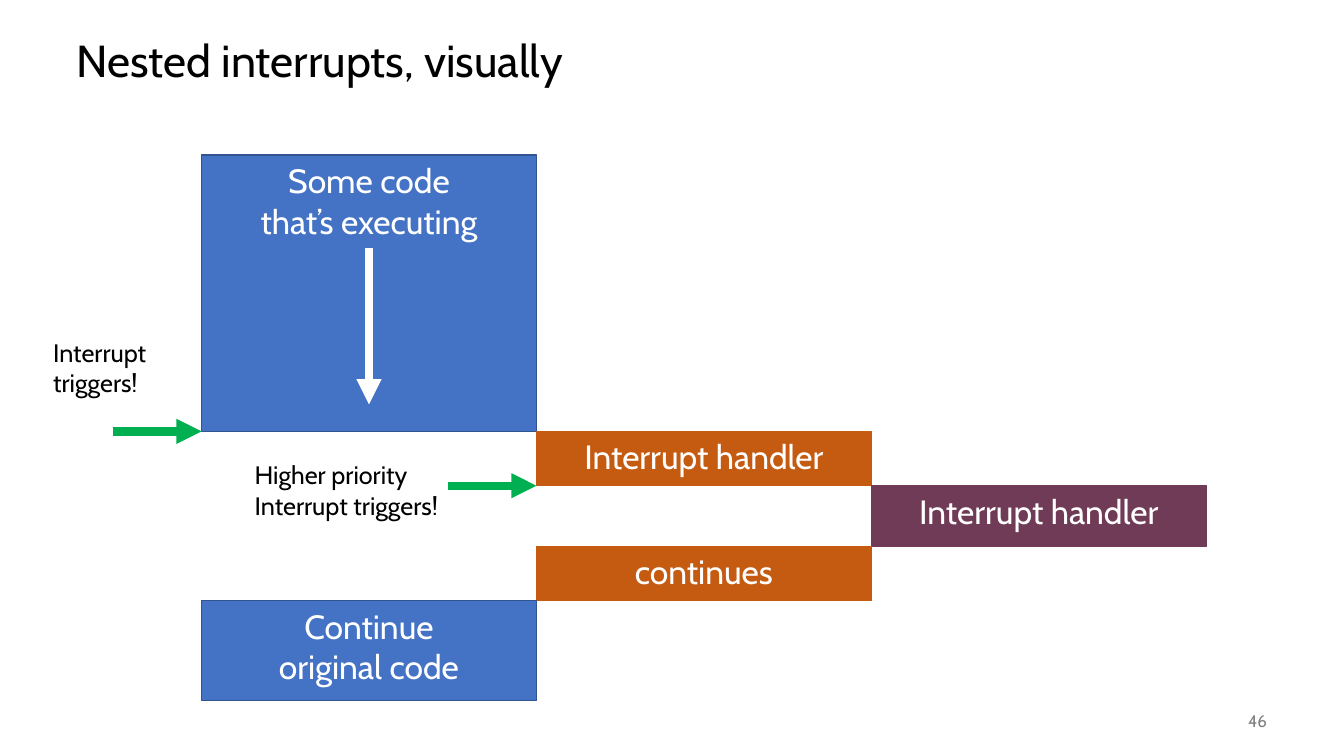
"""Builds a slide that shows nested interrupts as a staircase of code blocks."""
from lxml.etree import SubElement
from pptx import Presentation
from pptx.dml.color import RGBColor
from pptx.enum.shapes import MSO_CONNECTOR, MSO_SHAPE
from pptx.enum.text import MSO_ANCHOR, PP_ALIGN
from pptx.oxml.ns import qn
from pptx.util import Cm, Pt

BLACK = RGBColor(0x00, 0x00, 0x00)
WHITE = RGBColor(0xFF, 0xFF, 0xFF)
GRAY = RGBColor(0x80, 0x80, 0x80)
BLUE = RGBColor(0x44, 0x72, 0xC4)
NAVY = RGBColor(0x32, 0x54, 0x91)
ORANGE = RGBColor(0xC5, 0x5A, 0x11)
PLUM = RGBColor(0x70, 0x3B, 0x56)
GREEN = RGBColor(0x00, 0xB0, 0x50)

LEFT, WIDTH = 5.08, 8.44
TOP = 3.91
HEIGHTS = [6.96, 1.37, 1.53, 1.37, 2.51]
COLUMNS = [LEFT + WIDTH * i for i in range(3)]
ROWS = [TOP + sum(HEIGHTS[:i]) for i in range(len(HEIGHTS))]

BLOCKS = [
    (0, "Some code\nthat’s executing", BLUE, NAVY),
    (1, "Interrupt handler", ORANGE, ORANGE),
    (2, "Interrupt handler", PLUM, PLUM),
    (1, "continues", ORANGE, ORANGE),
    (0, "Continue\noriginal code", BLUE, NAVY),
]


class SlideBuilder:
    font = "Cabin"

    def __init__(self, slide):
        self.s = slide

    def set_text(self, tf, text, size, color, align=PP_ALIGN.LEFT,
                 anchor=MSO_ANCHOR.TOP, spacing=None):
        for name, value in {"word_wrap": True, "vertical_anchor": anchor}.items():
            setattr(tf, name, value)
        p = tf.paragraphs[0]
        p.text = text
        for name, value in {"alignment": align, "line_spacing": spacing}.items():
            setattr(p, name, value)
        for r in p.runs:
            for name, value in {"name": self.font, "size": Pt(size)}.items():
                setattr(r.font, name, value)
            r.font.color.rgb = color

    def label(self, x, y, w, h, text, size, color=BLACK, **style):
        sp = self.s.shapes.add_textbox(Cm(x), Cm(y), Cm(w), Cm(h))
        self.set_text(sp.text_frame, text, size, color, **style)

    def block(self, x, y, w, h, text, fill, line):
        sp = self.s.shapes.add_shape(MSO_SHAPE.RECTANGLE, Cm(x), Cm(y), Cm(w), Cm(h))
        sp.shadow.inherit = False
        sp.fill.solid()
        sp.fill.fore_color.rgb = fill
        sp.line.color.rgb = line
        sp.line.width = Pt(1)
        self.set_text(sp.text_frame, text, 24, WHITE, align=PP_ALIGN.CENTER)

    def arrow(self, x1, y1, x2, y2, color):
        c = self.s.shapes.add_connector(
            MSO_CONNECTOR.STRAIGHT, Cm(x1), Cm(y1), Cm(x2), Cm(y2))
        c.line.color.rgb = color
        c.line.width = Pt(6)
        properties = c.element.spPr
        SubElement(properties.find(qn("a:ln")), qn("a:tailEnd"), type="triangle")
        SubElement(properties, qn("a:effectLst"))


def main():
    prs = Presentation()
    prs.slide_width, prs.slide_height = Cm(33.87), Cm(19.05)
    b = SlideBuilder(prs.slides.add_slide(prs.slide_layouts[6]))

    b.label(1.68, 0.64, 30.48, 1.9, "Nested interrupts, visually", 32,
            anchor=MSO_ANCHOR.MIDDLE, spacing=0.9)
    b.label(29.64, 17.65, 2.54, 1.02, "46", 12, GRAY,
            align=PP_ALIGN.RIGHT, anchor=MSO_ANCHOR.MIDDLE)

    for (column, text, fill, line), y, h in zip(BLOCKS, ROWS, HEIGHTS):
        b.block(COLUMNS[column], y, WIDTH, h, text, fill, line)

    middle = LEFT + WIDTH / 2
    b.arrow(middle, 6.25, middle, 10.19, WHITE)
    for x, y in zip(COLUMNS, ROWS[1:3]):
        b.arrow(x - 2.23, y, x, y, GREEN)

    b.label(1.09, 8.38, 3.99, 1.8, "Interrupt triggers!", 18)
    b.label(6.17, 11.46, 5.64, 1.8, "Higher priority\nInterrupt triggers!", 18)
    prs.save("out.pptx")


if __name__ == "__main__":
    main()
